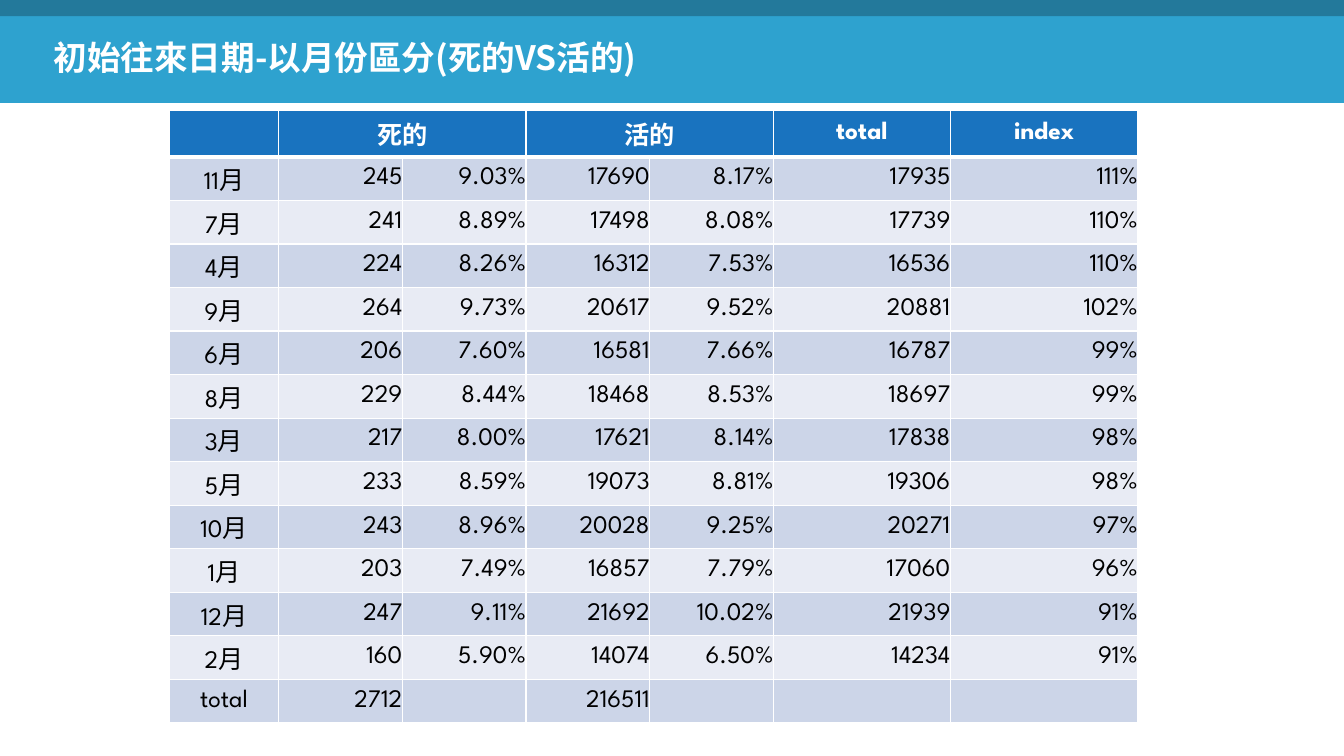
import pptx
import pptx.util
import pptx.dml.color
import pptx.enum.shapes
import pptx.enum.text
import pptx.oxml
import pptx.oxml.ns

Pt = pptx.util.Pt
ALIGN = pptx.enum.text.PP_ALIGN
MIDDLE = pptx.enum.text.MSO_ANCHOR.MIDDLE
LATIN, HAN = "League Spartan", "Noto Sans CJK SC"
WIDTHS = [78, 88.4, 88.4, 88.4, 88.4, 126.3, 134]
HEADS = ["", "死的", "", "活的", "", "total", "index"]
COUNTS = [
    (11, 245, 17690), (7, 241, 17498), (4, 224, 16312), (9, 264, 20617),
    (6, 206, 16581), (8, 229, 18468), (3, 217, 17621), (5, 233, 19073),
    (10, 243, 20028), (1, 203, 16857), (12, 247, 21692), (2, 160, 14074),
]


def paint(fill, code):
    """Apply a solid colour given as a hex string."""
    fill.solid()
    fill.fore_color.rgb = pptx.dml.color.RGBColor.from_string(code)


def style(para, face, size, code, bold, align):
    """Format a paragraph and its runs."""
    para.alignment = align
    for run in para.runs:
        font = run.font
        font.name, font.size, font.bold = face, Pt(size), bold
        paint(font.fill, code)
        east = pptx.oxml.parse_xml(
            f'<a:ea {pptx.oxml.ns.nsdecls("a")} typeface="{HAN}"/>')
        run.font._element.find(pptx.oxml.ns.qn("a:latin")).addnext(east)


def add_band(slide, height, code):
    """Draw a full-width band along the top edge."""
    band = slide.shapes.add_shape(
        pptx.enum.shapes.MSO_SHAPE.RECTANGLE, 0, 0, Pt(960), Pt(height))
    band.shadow.inherit = False
    paint(band.fill, code)
    band.line.fill.background()


def set_title(slide, text):
    """Place the title in front of the bands."""
    title = slide.shapes.title
    title.left, title.top, title.width, title.height = map(Pt, (31, 20, 589, 42))
    frame = title.text_frame
    frame.text = text
    frame.auto_size = pptx.enum.text.MSO_AUTO_SIZE.NONE
    frame.vertical_anchor = MIDDLE
    para = frame.paragraphs[0]
    para.space_before = Pt(10)
    style(para, HAN, 24, "FFFFFF", True, ALIGN.LEFT)
    title.element.getparent().append(title.element)


def set_edges(cell, top, bottom):
    """Give a cell white borders with the stated top and bottom widths."""
    props = cell._tc.get_or_add_tcPr()
    for side, width in zip("LRTB", (1, 1, top, bottom)):
        props.append(pptx.oxml.parse_xml(
            f'<a:ln{side} {pptx.oxml.ns.nsdecls("a")} w="{Pt(width)}">'
            f'<a:solidFill><a:srgbClr val="FFFFFF"/></a:solidFill></a:ln{side}>'))


def set_cell(cell, text, row, col):
    """Fill and format a cell according to its row and column."""
    head = row == 0
    set_edges(cell, 3 if row == 1 else 1, 3 if head else 1)
    paint(cell.fill, "1973BF" if head else ("E8EBF4", "CCD5E8")[row % 2])
    cell.vertical_anchor = MIDDLE
    if text and not head:
        cell.margin_left = cell.margin_right = 0
        cell.margin_top = cell.margin_bottom = 0
    cell.text_frame.text = text
    align = ALIGN.CENTER if head or col == 0 else ALIGN.RIGHT
    style(cell.text_frame.paragraphs[0], LATIN, 18,
          "FFFFFF" if head else "000000", head, align)


def get_rows():
    """Work out shares, sums and index from the monthly counts."""
    dead = sum(item[1] for item in COUNTS)
    live = sum(item[2] for item in COUNTS)
    rows = [HEADS]
    for month, lost, kept in COUNTS:
        share, rest = lost / dead, kept / live
        rows.append([f"{month}月", str(lost), f"{share:.2%}", str(kept),
                     f"{rest:.2%}", str(lost + kept), f"{share / rest:.0%}"])
    rows.append(["total", str(dead), "", str(live), "", "", ""])
    return rows


def add_grid(slide, rows):
    """Add the table of months."""
    grid = slide.shapes.add_table(
        len(rows), len(WIDTHS), Pt(121), Pt(78.8),
        Pt(sum(WIDTHS)), Pt(31.1 * len(rows))).table
    for column, width in zip(grid.columns, WIDTHS):
        column.width = Pt(width)
    for r, row in enumerate(rows):
        grid.rows[r].height = Pt(31.1)
        for c, text in enumerate(row):
            set_cell(grid.cell(r, c), text, r, c)
    for c in (1, 3):
        grid.cell(0, c).merge(grid.cell(0, c + 1))


def main():
    """Build and save the slide."""
    deck = pptx.Presentation()
    deck.slide_width, deck.slide_height = Pt(960), Pt(540)
    slide = deck.slides.add_slide(deck.slide_layouts[5])
    add_band(slide, 73.5, "2EA2CF")
    add_band(slide, 11.5, "23799B")
    set_title(slide, "初始往來日期-以月份區分(死的VS活的)")
    add_grid(slide, get_rows())
    deck.save("out.pptx")


if __name__ == "__main__":
    main()
